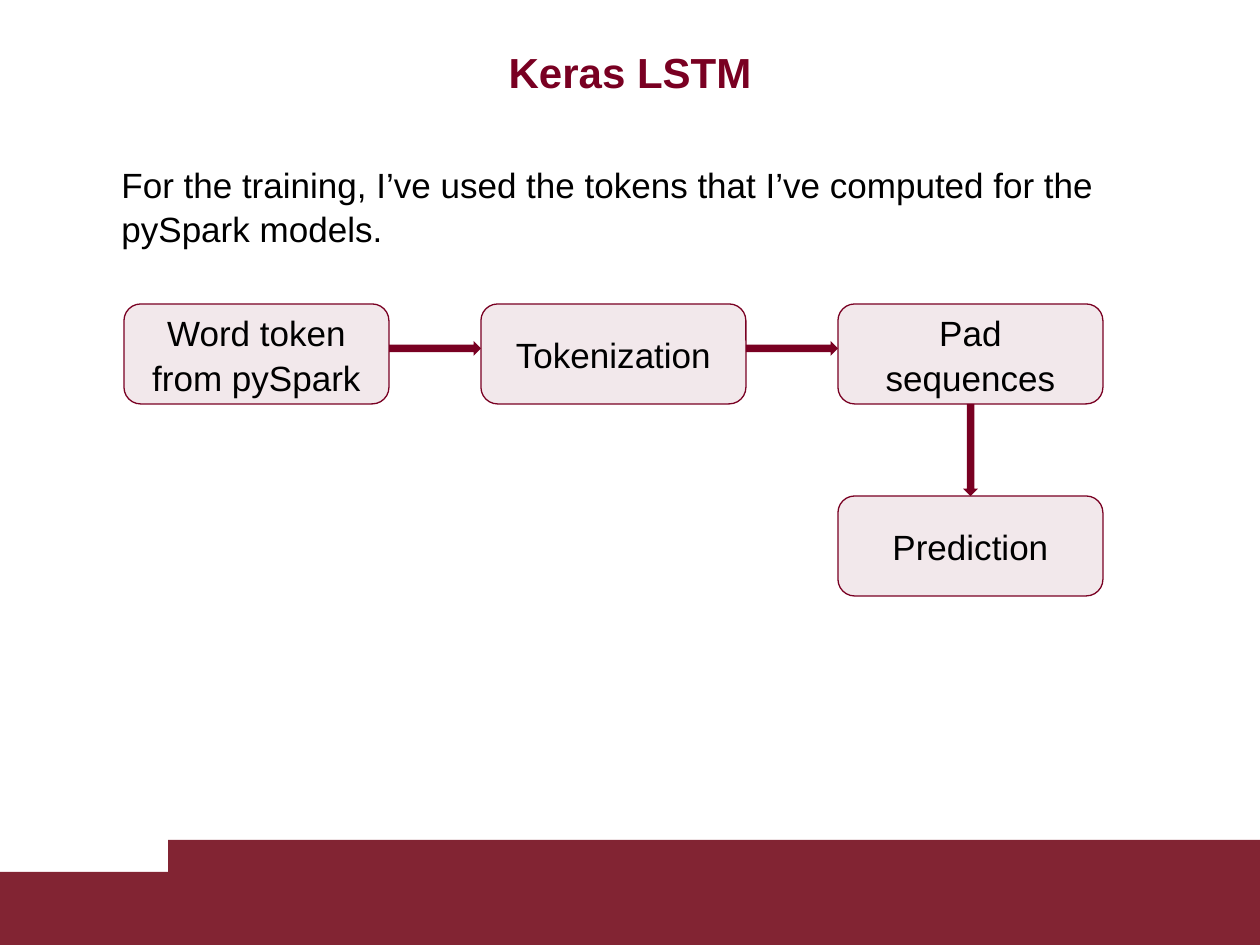
from lxml import etree
from pptx import Presentation
from pptx.dml.color import RGBColor
from pptx.enum.shapes import MSO_SHAPE
from pptx.enum.text import MSO_ANCHOR, PP_ALIGN
from pptx.oxml.ns import qn
from pptx.util import Pt

RECTANGLE, ROUNDED, ARROW = MSO_SHAPE.RECTANGLE, MSO_SHAPE.ROUNDED_RECTANGLE, MSO_SHAPE.RIGHT_ARROW
TOP, MIDDLE = MSO_ANCHOR.TOP, MSO_ANCHOR.MIDDLE
LEFT, CENTER = PP_ALIGN.LEFT, PP_ALIGN.CENTER

EMU_PER_PX = 914400 / 126
PAGE_WIDTH, PAGE_HEIGHT = 1260, 945
FONT = "Arial"
MAROON = RGBColor(0x79, 0x00, 0x22)
FOOTER_RED = RGBColor(0x82, 0x24, 0x33)
BLACK = RGBColor(0x00, 0x00, 0x00)

STEPS = ["Word token from pySpark", "Tokenization", "Pad sequences"]
STEP_WIDTH, STEP_HEIGHT = 265, 100
GAP, ARROW_THICKNESS, ARROW_DROP = 92, 15, 37


def px(length):
    """Turn px into EMU."""
    return round(length * EMU_PER_PX)


def write(box, text, size, color, align, anchor, bold=False, spacing=1.0):
    """Put one formatted paragraph into a box."""
    frame = box.text_frame
    frame.word_wrap = True
    frame.vertical_anchor = anchor
    frame.text = text
    para = frame.paragraphs[0]
    para.alignment = align
    para.line_spacing = spacing
    font = para.runs[0].font
    font.name, font.size, font.bold = FONT, Pt(size), bold
    font.color.rgb = color


def add_text(page, left, top, width, height, *style, **options):
    """Add a text box with one paragraph."""
    box = page.shapes.add_textbox(px(left), px(top), px(width), px(height))
    write(box, *style, **options)


def add_block(page, kind, left, top, width, height, color):
    """Add a plain filled shape without outline or shadow."""
    block = page.shapes.add_shape(kind, px(left), px(top), px(width), px(height))
    block.shadow.inherit = False
    block.fill.solid()
    block.fill.fore_color.rgb = color
    block.line.fill.background()
    return block


def add_step(page, left, top, text):
    """Add one tinted, outlined step of the flow."""
    step = add_block(page, ROUNDED, left, top, STEP_WIDTH, STEP_HEIGHT, MAROON)
    tint = step.fill._xPr.find(qn("a:solidFill"))[0]
    etree.SubElement(tint, qn("a:alpha")).set("val", "9000")
    step.line.color.rgb = MAROON
    step.line.width = Pt(0.75)
    write(step, text, 20, BLACK, CENTER, MIDDLE, spacing=1.05)


def add_flow(page, left, top):
    """Lay out the row of steps, with the prediction below the last one."""
    pitch = STEP_WIDTH + GAP
    for index, text in enumerate(STEPS):
        step_left = left + index * pitch
        add_step(page, step_left, top, text)
        if index:
            add_block(page, ARROW, step_left - GAP, top + ARROW_DROP, GAP, ARROW_THICKNESS, MAROON)
    down_left = step_left + (STEP_WIDTH - GAP) / 2
    down_top = top + STEP_HEIGHT + (GAP - ARROW_THICKNESS) / 2
    down = add_block(page, ARROW, down_left, down_top, GAP, ARROW_THICKNESS, MAROON)
    down.rotation = 90
    add_step(page, step_left, top + STEP_HEIGHT + GAP, "Prediction")


def add_footer(page):
    """Draw the stepped band along the bottom edge."""
    for left, top in ((0, 872), (168, 840)):
        add_block(page, RECTANGLE, left, top, PAGE_WIDTH - left, PAGE_HEIGHT - top, FOOTER_RED)


def main():
    """Build and save the slide."""
    deck = Presentation()
    deck.slide_width, deck.slide_height = px(PAGE_WIDTH), px(PAGE_HEIGHT)
    page = deck.slides.add_slide(deck.slide_layouts[6])
    add_footer(page)
    add_text(page, 109, 37, 1042, 69, "Keras LSTM", 24, MAROON, CENTER, MIDDLE, bold=True)
    add_text(page, 109, 155, 1042, 139,
             "For the training, I’ve used the tokens that I’ve computed for the pySpark models.",
             20, BLACK, LEFT, TOP, spacing=1.05)
    add_flow(page, 124, 304)
    deck.save("out.pptx")


if __name__ == "__main__":
    main()
